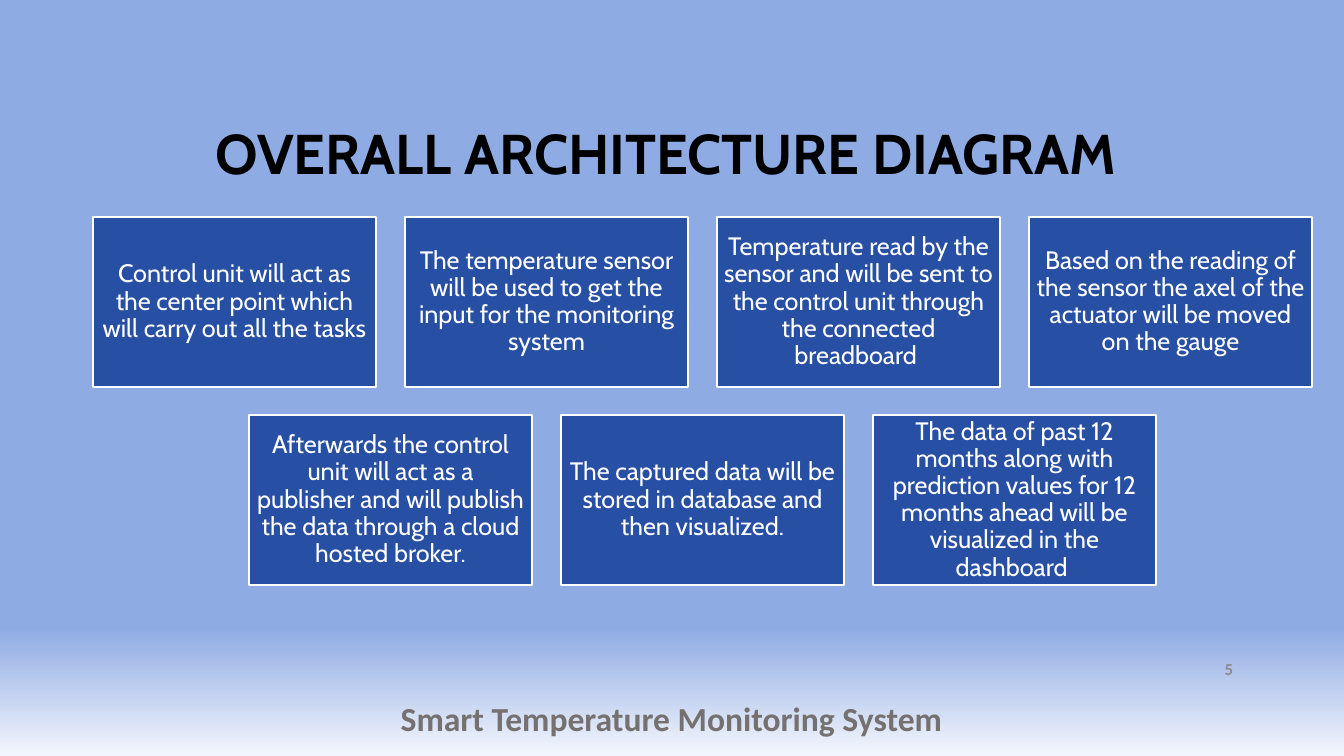
from dataclasses import dataclass

from pptx import Presentation
from pptx.dml.color import RGBColor
from pptx.enum.shapes import MSO_SHAPE
from pptx.enum.text import MSO_ANCHOR, MSO_AUTO_SIZE, PP_ALIGN
from pptx.util import Emu, Pt


@dataclass(frozen=True)
class Theme:
    sky: str = "8FABE4"
    horizon: str = "F3F6FC"
    card: str = "274FA4"
    white: str = "FFFFFF"
    black: str = "000000"
    footer: str = "767171"
    number: str = "8C8C8C"
    heading_font: str = "Cabin"
    footer_font: str = "Calibri"
    title_size: int = 40
    footer_size: int = 24
    card_size: int = 18
    number_size: int = 12


theme = Theme()
PX = 914400 / 100.8


def px(*lengths):
    return [Emu(round(length * PX)) for length in lengths]


def write(holder, text, font, size, color, bold=False, align=PP_ALIGN.CENTER, spacing=1.0):
    frame = holder.text_frame
    frame.word_wrap = True
    frame.auto_size = MSO_AUTO_SIZE.NONE
    frame.vertical_anchor = MSO_ANCHOR.MIDDLE
    paragraph = frame.paragraphs[0]
    paragraph.alignment = align
    paragraph.line_spacing = spacing
    run = paragraph.add_run()
    run.text = text
    run.font.name = font
    run.font.size = Pt(size)
    run.font.bold = bold
    run.font.color.rgb = RGBColor.from_string(color)


deck = Presentation()
deck.slide_width, deck.slide_height = px(1344, 756)
slide = deck.slides.add_slide(deck.slide_layouts[5])

# Background fading to near white at the foot
backdrop = slide.background.fill
backdrop.gradient()
backdrop.gradient_angle = 270
for stop, position, color in zip(backdrop.gradient_stops, (0.83, 1.0), (theme.sky, theme.horizon)):
    stop.position = position
    stop.color.rgb = RGBColor.from_string(color)

# Title
title = slide.shapes.title
title.left, title.top, title.width, title.height = px(101, 68, 1142, 176)
write(title, "OVERALL ARCHITECTURE DIAGRAM ", theme.heading_font, theme.title_size,
      theme.black, bold=True, spacing=0.9)

# Slide number and footer
page_number = slide.shapes.add_textbox(*px(1158, 649, 85, 40))
write(page_number, "5", theme.footer_font, theme.number_size, theme.number,
      bold=True, align=PP_ALIGN.RIGHT)
footer = slide.shapes.add_textbox(*px(296, 681, 751, 75))
write(footer, "Smart Temperature Monitoring System", theme.footer_font,
      theme.footer_size, theme.footer, bold=True)

# Architecture steps: four cards, then three centred beneath them
STEP_ROWS = [
    [
        "Control unit will act as the center point which will carry out all the tasks",
        "The temperature sensor will be used to get the input for the monitoring system",
        "Temperature read by the sensor and will be sent to the control unit "
        "through the connected breadboard ",
        "Based on the reading of the sensor the axel of the actuator will be moved on the gauge",
    ],
    [
        "Afterwards the control unit will act as a publisher and will publish the data "
        "through a cloud hosted broker.",
        "The captured data will be stored in database and then visualized.",
        "The data of past 12 months along with prediction values for 12 months ahead "
        "will be visualized in the dashboard ",
    ],
]
LEFT, TOP, WIDTH, HEIGHT, GAP_X, GAP_Y, INSET = 93, 217, 283, 170, 29, 28, 7
PITCH = WIDTH + GAP_X

for row, steps in enumerate(STEP_ROWS):
    row_left = LEFT + (len(STEP_ROWS[0]) - len(steps)) * PITCH // 2
    for column, step in enumerate(steps):
        card = slide.shapes.add_shape(
            MSO_SHAPE.RECTANGLE,
            *px(row_left + column * PITCH, TOP + row * (HEIGHT + GAP_Y), WIDTH, HEIGHT))
        card.shadow.inherit = False
        card.fill.solid()
        card.fill.fore_color.rgb = RGBColor.from_string(theme.card)
        card.line.color.rgb = RGBColor.from_string(theme.white)
        card.line.width = Pt(1.25)
        frame = card.text_frame
        frame.margin_left, frame.margin_top, frame.margin_right, frame.margin_bottom = px(*[INSET] * 4)
        write(card, step, theme.heading_font, theme.card_size, theme.white, spacing=0.9)

deck.save("out.pptx")
